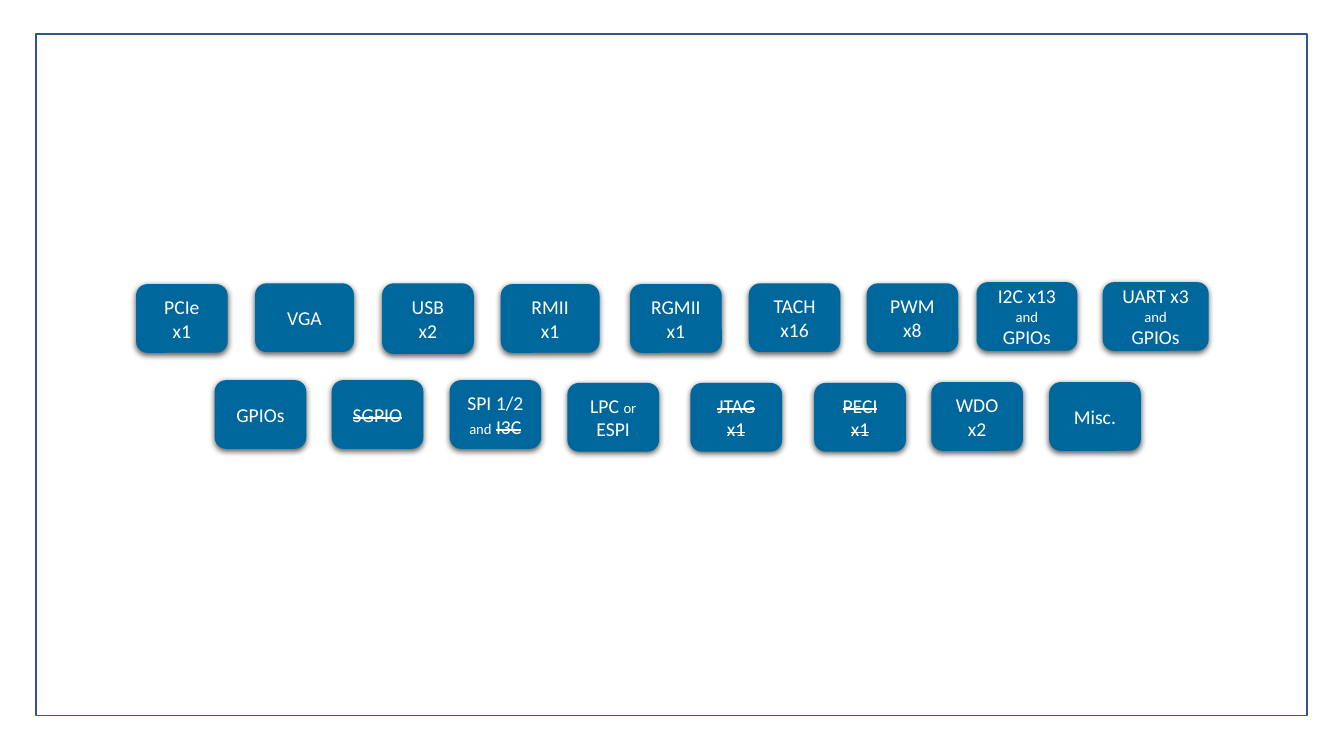
from lxml import etree
from pptx import Presentation
from pptx.dml.color import RGBColor
from pptx.enum.shapes import MSO_SHAPE as Shape
from pptx.enum.text import MSO_ANCHOR as Anchor, PP_ALIGN as Align
from pptx.oxml import parse_xml
from pptx.util import Cm, Pt

BLUE = RGBColor(0x00, 0x67, 0x9C)
FRAME_BLUE = RGBColor(0x32, 0x54, 0x91)
WHITE = RGBColor(0xFF, 0xFF, 0xFF)

SHADOW = (
    '<a:effectLst xmlns:a="http://schemas.openxmlformats.org/drawingml/2006/main">'
    '<a:outerShdw blurRad="57150" dist="19050" dir="5400000" algn="ctr" rotWithShape="0">'
    '<a:srgbClr val="000000"><a:alpha val="63000"/></a:srgbClr>'
    '</a:outerShdw></a:effectLst>'
)

# Text styles: size in points, struck through
NORMAL = (14, False)
SMALL = (10.5, False)
STRUCK = (14, True)

NARROW, MEDIUM = 2.31, 2.49
HEIGHT = 1.73


def plain(*lines):
    return [[(line, NORMAL)] for line in lines]


def struck(*lines):
    return [[(line, STRUCK)] for line in lines]


# Interfaces: left, top, width, height in cm, then lines of styled text
AND_GPIOS = [[("and", SMALL)], [("GPIOs", NORMAL)]]
interfaces = [
    # Upper row
    (3.43, 7.16, NARROW, HEIGHT, plain("PCIe", "x1")),
    (6.43, 7.14, MEDIUM, HEIGHT, plain("VGA")),
    (9.63, 7.14, NARROW, 1.78, plain("USB", "x2")),
    (12.62, 7.16, MEDIUM, HEIGHT, plain("RMII", "x1")),
    (15.88, 7.16, NARROW, HEIGHT, plain("RGMII", "x1")),
    (18.87, 7.14, NARROW, HEIGHT, plain("TACH", "x16")),
    (21.84, 7.14, NARROW, HEIGHT, plain("PWM", "x8")),
    (24.61, 7.11, 2.54, HEIGHT, plain("I2C x13") + AND_GPIOS),
    (27.79, 7.11, 2.67, HEIGHT, plain("UART x3") + AND_GPIOS),
    # Lower row
    (5.41, 9.58, NARROW, HEIGHT, plain("GPIOs")),
    (8.36, 9.58, NARROW, HEIGHT, struck("SGPIO")),
    (11.33, 9.58, NARROW, HEIGHT,
     plain("SPI 1/2") + [[("and", SMALL), (" ", NORMAL), ("I3C", STRUCK)]]),
    (14.3, 9.65, NARROW, HEIGHT,
     [[("LPC ", NORMAL), ("or ", SMALL), ("ESPI", NORMAL)]]),
    (17.4, 9.65, NARROW, HEIGHT, struck("JTAG", "x1")),
    (20.52, 9.65, NARROW, HEIGHT, struck("PECI", "x1")),
    (23.47, 9.63, NARROW, HEIGHT, plain("WDO", "x2")),
    (26.44, 9.63, NARROW, HEIGHT, plain("Misc.")),
]

deck = Presentation()
deck.slide_width, deck.slide_height = Cm(33.87), Cm(19.05)
page = deck.slides.add_slide(deck.slide_layouts[6])

# Interface boxes
for left, top, width, height, lines in interfaces:
    box = page.shapes.add_shape(
        Shape.ROUNDED_RECTANGLE, Cm(left), Cm(top), Cm(width), Cm(height))
    box.fill.solid()
    box.fill.fore_color.rgb = BLUE
    box.line.fill.background()
    box._element.spPr.append(parse_xml(SHADOW))
    frame = box.text_frame
    frame.word_wrap = True
    frame.vertical_anchor = Anchor.MIDDLE
    for index, line in enumerate(lines):
        para = frame.add_paragraph() if index else frame.paragraphs[0]
        para.alignment = Align.CENTER
        for text, (size, is_struck) in line:
            span = para.add_run()
            span.text = text
            span.font.name = "Calibri"
            span.font.size = Pt(size)
            span.font.color.rgb = WHITE
            if is_struck:
                span.font._element.set("strike", "sngStrike")

# Border around the diagram
border = page.shapes.add_shape(
    Shape.RECTANGLE, Cm(0.91), Cm(0.86), Cm(32.03), Cm(17.17))
border.shadow.inherit = False
border.fill.background()
border.line.color.rgb = FRAME_BLUE
border.line.width = Pt(1)

deck.save("out.pptx")
